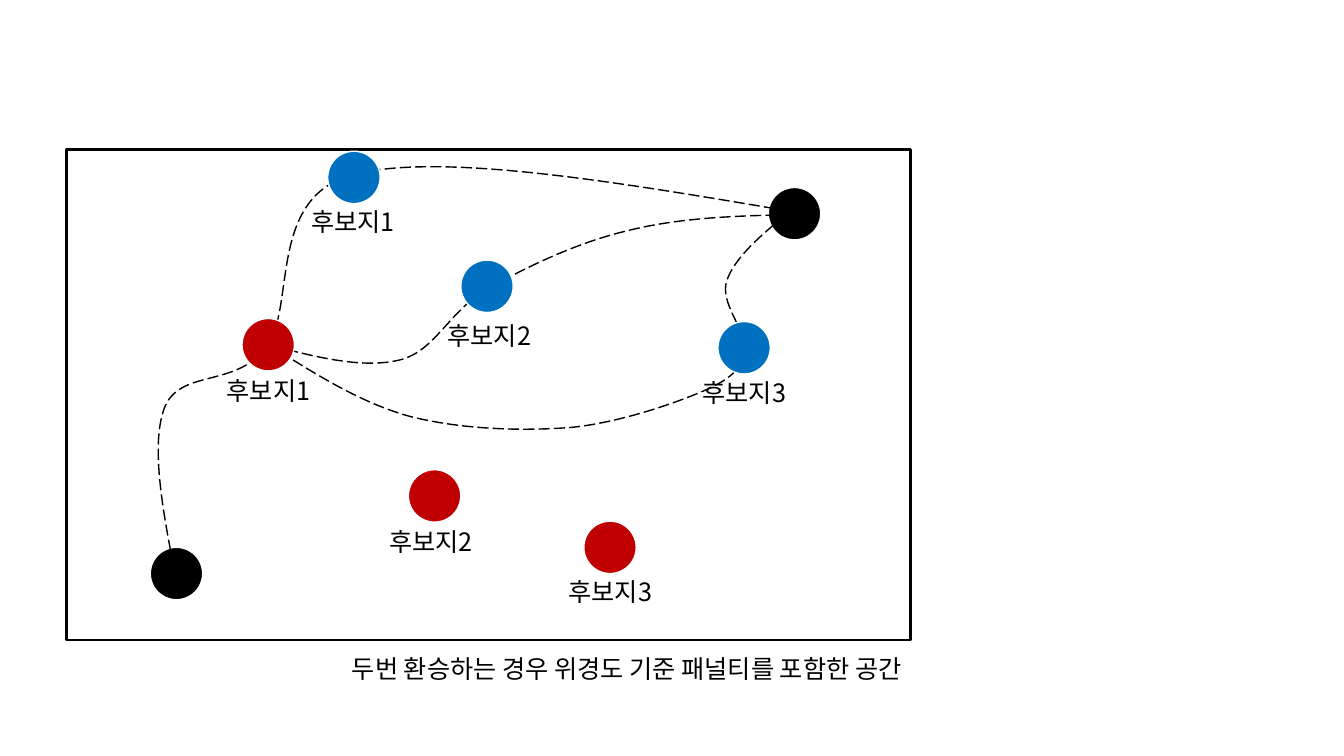
"""Build a slide showing transfer candidates and the routes between them."""
from dataclasses import dataclass

from lxml.etree import SubElement
from pptx import Presentation
from pptx.dml.color import RGBColor
from pptx.enum.dml import MSO_LINE
from pptx.enum.shapes import MSO_SHAPE as Preset
from pptx.enum.text import MSO_AUTO_SIZE as AutoSize, PP_ALIGN as Align
from pptx.oxml.ns import qn
from pptx.util import Inches, Pt


@dataclass(frozen=True)
class Theme:
    black: RGBColor = RGBColor(0, 0, 0)
    white: RGBColor = RGBColor(255, 255, 255)
    red: RGBColor = RGBColor(0xC0, 0, 0)
    blue: RGBColor = RGBColor(0, 0x70, 0xC0)
    font: str = "Noto Sans CJK KR"
    text_size: Pt = Pt(18)
    thin: Pt = Pt(1)
    thick: Pt = Pt(2)


THEME = Theme()
DOT_SIZE = 0.52
LABEL_SIZE = (1.15, 0.4)
CURVE_STEPS = 24

ENDPOINTS = [(1.49, 5.43), (7.62, 1.86)]
CANDIDATES = [
    ("후보지1", THEME.red, (2.4, 3.16), (2.15, 3.67)),
    ("후보지2", THEME.red, (4.05, 4.66), (3.76, 5.17)),
    ("후보지3", THEME.red, (5.79, 5.17), (5.54, 5.67)),
    ("후보지1", THEME.blue, (3.25, 1.5), (2.99, 2)),
    ("후보지2", THEME.blue, (4.57, 2.58), (4.34, 3.13)),
    ("후보지3", THEME.blue, (7.12, 3.19), (6.87, 3.69)),
]
ROUTES = [
    [(1.75, 5.76),
     (1.62, 5.1), (1.49, 4.43), (1.63, 4.05),
     (1.78, 3.66), (2.32, 3.85), (2.63, 3.46),
     (2.95, 3.07), (2.63, 1.96), (3.51, 1.73),
     (4.39, 1.51), (6.15, 1.81), (7.92, 2.11)],
    [(2.7, 3.43),
     (3.16, 3.55), (3.61, 3.66), (3.97, 3.57),
     (4.32, 3.48), (4.45, 3.09), (4.83, 2.87),
     (5.2, 2.66), (5.71, 2.41), (6.22, 2.29),
     (6.73, 2.16), (7.3, 2.14), (7.87, 2.13)],
    [(2.65, 3.41),
     (3.11, 3.7), (3.56, 3.99), (4.06, 4.13),
     (4.57, 4.26), (5.17, 4.28), (5.67, 4.24),
     (6.16, 4.19), (6.73, 3.99), (7.02, 3.86),
     (7.3, 3.73), (7.35, 3.64), (7.38, 3.46),
     (7.41, 3.28), (7.13, 3.01), (7.21, 2.78),
     (7.29, 2.55), (7.57, 2.31), (7.86, 2.08)],
]


def apply_format(target, values):
    """Set each attribute named in values on the target."""
    for name, value in values.items():
        setattr(target, name, value)


def add_filled(slide, preset, box, fill, outline, width):
    """Add a flat preset shape with the given fill and outline."""
    shape = slide.shapes.add_shape(preset, *map(Inches, box))
    shape.shadow.inherit = False
    shape.fill.solid()
    shape.fill.fore_color.rgb = fill
    shape.line.color.rgb = outline
    shape.line.width = width


def add_dot(slide, corner, color):
    """Add a round stop with a white rim."""
    box = (*corner, DOT_SIZE, DOT_SIZE)
    add_filled(slide, Preset.OVAL, box, color, THEME.white, THEME.thin)


def add_text(slide, text, box, align=Align.LEFT):
    """Add a one-line text box."""
    frame = slide.shapes.add_textbox(*map(Inches, box)).text_frame
    apply_format(frame, {"word_wrap": True, "auto_size": AutoSize.SHAPE_TO_FIT_TEXT})
    line = frame.paragraphs[0]
    line.alignment = align
    run = line.add_run()
    run.text = text
    apply_format(run.font, {"name": THEME.font, "size": THEME.text_size})
    run.font.color.rgb = THEME.black
    SubElement(run.font._element, qn("a:ea"), typeface=THEME.font)


def bezier_point(controls, t):
    """Return the point at t on a cubic curve, in EMU."""
    weights = ((1 - t) ** 3, 3 * t * (1 - t) ** 2, 3 * t * t * (1 - t), t ** 3)
    return tuple(Inches(sum(w * v for w, v in zip(weights, axis)))
                 for axis in zip(*controls))


def add_route(slide, points):
    """Add a dashed smooth curve sized to its true bounds."""
    starts = range(0, len(points) - 1, 3)
    samples = [bezier_point(points[i:i + 4], step / CURVE_STEPS)
               for i in starts for step in range(1, CURVE_STEPS + 1)]
    builder = slide.shapes.build_freeform(*map(Inches, points[0]))
    builder.add_line_segments(samples, close=False)
    route = builder.convert_to_shape()

    outline = route._element.xpath(".//a:path")[0]
    for segment in outline.findall(qn("a:lnTo")):
        outline.remove(segment)
    for i in starts:
        curve = SubElement(outline, qn("a:cubicBezTo"))
        for x, y in points[i + 1:i + 4]:
            SubElement(curve, qn("a:pt"), x=str(Inches(x) - route.left),
                       y=str(Inches(y) - route.top))

    route.shadow.inherit = False
    route.fill.background()
    route.line.color.rgb = THEME.black
    apply_format(route.line, {"width": THEME.thin, "dash_style": MSO_LINE.LONG_DASH})


def main():
    """Compose and save the slide."""
    deck = Presentation()
    apply_format(deck, {"slide_width": Inches(13.33), "slide_height": Inches(7.5)})
    slide = deck.slides.add_slide(deck.slide_layouts[6])

    add_filled(slide, Preset.RECTANGLE, (0.66, 1.48, 8.37, 4.87),
               THEME.white, THEME.black, THEME.thick)
    add_text(slide, "두번 환승하는 경우 위경도 기준 패널티를 포함한 공간",
             (1.14, 6.43, 7.9, 0.4), Align.RIGHT)
    for corner in ENDPOINTS:
        add_dot(slide, corner, THEME.black)
    for points in ROUTES:
        add_route(slide, points)
    for name, color, dot_corner, label_corner in CANDIDATES:
        add_dot(slide, dot_corner, color)
        add_text(slide, name, (*label_corner, *LABEL_SIZE))

    deck.save("out.pptx")


if __name__ == "__main__":
    main()
